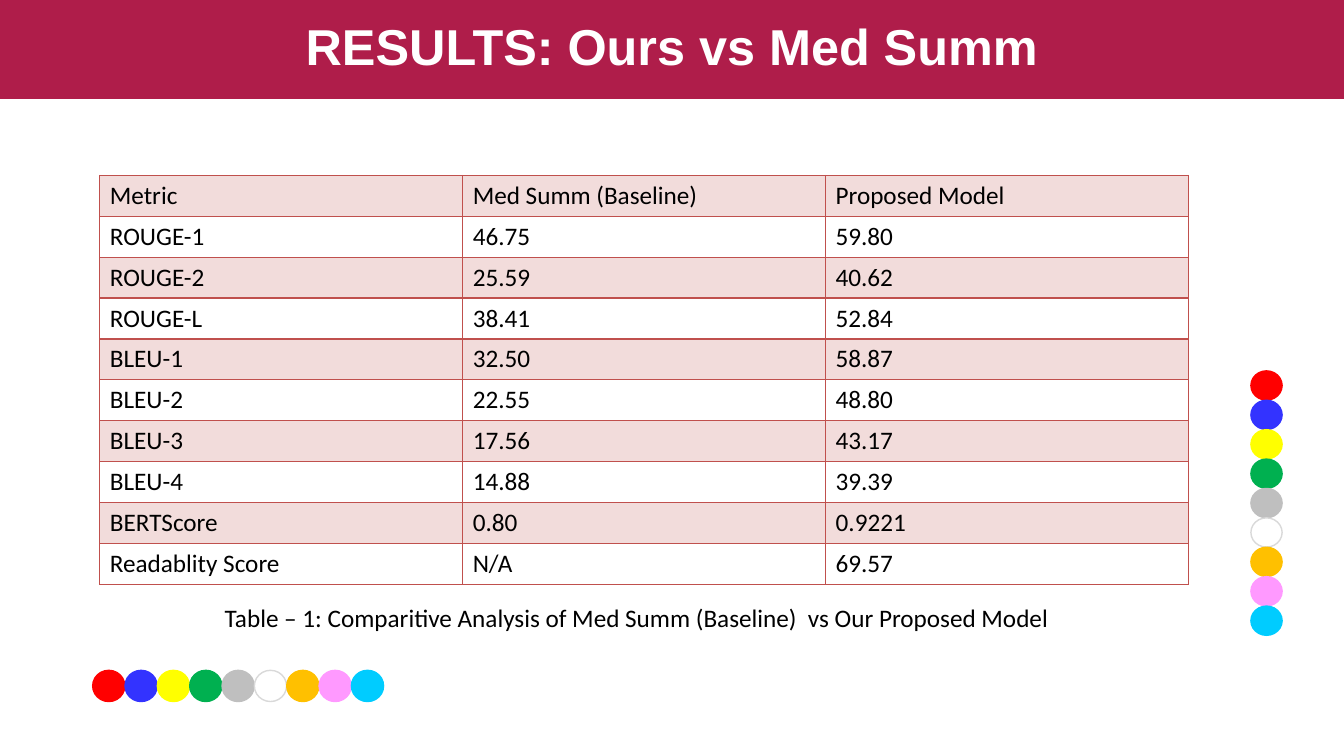
import dataclasses

import lxml.etree
import pptx
import pptx.dml.color
import pptx.enum.shapes
import pptx.enum.text
import pptx.oxml
import pptx.oxml.ns
import pptx.util

Pt = pptx.util.Pt
RGB = pptx.dml.color.RGBColor.from_string
ALIGN = pptx.enum.text.PP_ALIGN
ANCHOR = pptx.enum.text.MSO_ANCHOR
qn = pptx.oxml.ns.qn


@dataclasses.dataclass(frozen=True)
class Theme:
    band: str = "AF1D4A"
    white: str = "FFFFFF"
    text: str = "000000"
    accent: str = "C0504D"
    tint: int = 20  # opacity of shaded rows, percent
    outline: str = "D9D9D9"
    dots: tuple = ("FF0000", "3333FF", "FFFF00", "00B050", "BFBFBF",
                   "FFFFFF", "FFC000", "FF99FF", "00CCFF")
    title_font: str = "Arial"
    body_font: str = "Calibri"
    title_size: int = 36
    body_size: int = 18


def write(tf, text, *, font, size, color, bold=False, align=ALIGN.LEFT,
          anchor=ANCHOR.TOP, spacing=None):
    """Put one formatted paragraph into a text frame."""
    tf.word_wrap = True
    tf.vertical_anchor = anchor
    p = tf.paragraphs[0]
    p.alignment = align
    if spacing:
        p.line_spacing = spacing
    r = p.add_run()
    r.text = text
    r.font.name, r.font.size, r.font.bold = font, Pt(size), bold
    r.font.color.rgb = RGB(color)


class Deck:
    def __init__(self, theme):
        self.theme = theme
        self.prs = pptx.Presentation()
        self.prs.slide_width, self.prs.slide_height = Pt(960), Pt(540)
        self.s = self.prs.slides.add_slide(self.prs.slide_layouts[5])

    def title(self, text, height):
        t, sp = self.theme, self.s.shapes.title
        sp.left, sp.top, sp.width, sp.height = 0, 0, Pt(960), Pt(height)
        sp.fill.solid()
        sp.fill.fore_color.rgb = RGB(t.band)
        write(sp.text_frame, text, font=t.title_font, size=t.title_size,
              color=t.white, bold=True, align=ALIGN.CENTER,
              anchor=ANCHOR.MIDDLE, spacing=0.9)

    def dots(self, x, y, w, h, dx=0, dy=0, rotation=0):
        """Draw one dot per theme colour, stepping by dx and dy."""
        t = self.theme
        for i, color in enumerate(t.dots):
            sp = self.s.shapes.add_shape(
                pptx.enum.shapes.MSO_SHAPE.FLOWCHART_CONNECTOR,
                Pt(x + i * dx), Pt(y + i * dy), Pt(w), Pt(h))
            sp.rotation = rotation
            sp.shadow.inherit = False
            sp.fill.solid()
            sp.fill.fore_color.rgb = RGB(color)
            sp.line.color.rgb = RGB(t.outline if color == t.white else color)
            sp.line.width = Pt(1)

    def border(self, cell):
        tc_pr = cell._tc.get_or_add_tcPr()
        for side in ("lnL", "lnR", "lnT", "lnB"):
            ln = lxml.etree.SubElement(tc_pr, qn(f"a:{side}"), w=str(Pt(1)))
            fill = lxml.etree.SubElement(ln, qn("a:solidFill"))
            lxml.etree.SubElement(fill, qn("a:srgbClr"), val=self.theme.accent)

    def shade(self, cell):
        cell.fill.solid()
        cell.fill.fore_color.rgb = RGB(self.theme.accent)
        color = cell._tc.tcPr.find(f"{qn('a:solidFill')}/{qn('a:srgbClr')}")
        lxml.etree.SubElement(color, qn("a:alpha"),
                              val=str(self.theme.tint * 1000))

    def table(self, rows, x, y, col_width, row_height):
        t, n = self.theme, len(rows[0])
        table = self.s.shapes.add_table(
            len(rows), n, Pt(x), Pt(y), Pt(n * col_width),
            Pt(len(rows) * row_height)).table
        table.first_row = table.horz_banding = False
        for column in table.columns:
            column.width = Pt(col_width)
        for i, values in enumerate(rows):
            table.rows[i].height = Pt(row_height)
            for j, value in enumerate(values):
                cell = table.cell(i, j)
                self.border(cell)
                if i % 2 == 0:
                    self.shade(cell)
                else:
                    cell.fill.background()
                cell.vertical_anchor = ANCHOR.MIDDLE
                p = cell.text_frame.paragraphs[0]
                r = p.add_run()
                r.text = value
                r.font.name, r.font.size = t.body_font, Pt(t.body_size)
                r.font.color.rgb = RGB(t.text)

    def caption(self, text, x, y, w, h):
        t = self.theme
        sp = self.s.shapes.add_textbox(Pt(x), Pt(y), Pt(w), Pt(h))
        write(sp.text_frame, text, font=t.body_font, size=t.body_size,
              color=t.text)
        sp.text_frame.auto_size = pptx.enum.text.MSO_AUTO_SIZE.SHAPE_TO_FIT_TEXT


SCORES = [
    ("Metric", "Med Summ (Baseline)", "Proposed Model"),
    ("ROUGE-1", "46.75", "59.80"),
    ("ROUGE-2", "25.59", "40.62"),
    ("ROUGE-L", "38.41", "52.84"),
    ("BLEU-1", "32.50", "58.87"),
    ("BLEU-2", "22.55", "48.80"),
    ("BLEU-3", "17.56", "43.17"),
    ("BLEU-4", "14.88", "39.39"),
    ("BERTScore", "0.80", "0.9221"),
    ("Readablity Score", "N/A", "69.57"),
]


def main():
    deck = Deck(Theme())
    # Decorative dots: right column, then bottom row
    deck.dots(894.2, 264.2, 20.9, 22.3, dy=21, rotation=90)
    deck.dots(66.2, 478.8, 23, 22.3, dx=23.1)
    # Title band
    deck.title("RESULTS: Ours vs Med Summ", 70.6)
    # Scores and caption
    deck.table(SCORES, 71.3, 125.3, 259.2, 29.2)
    deck.caption("Table – 1: Comparitive Analysis of Med Summ (Baseline)  "
                 "vs Our Proposed Model", 153.4, 427, 694.8, 29)
    deck.prs.save("out.pptx")


if __name__ == "__main__":
    main()
